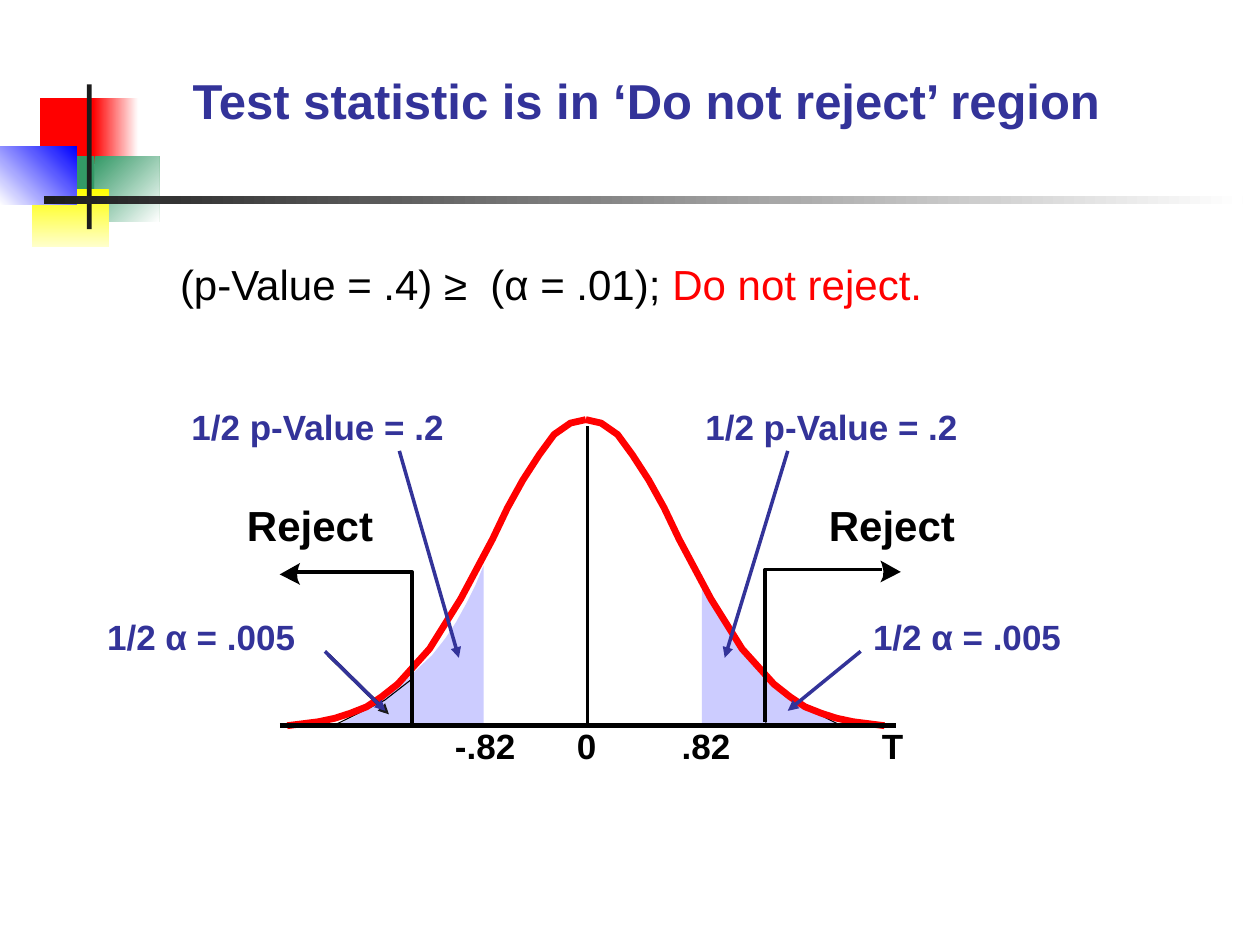
"""Draw a two-tailed test slide whose statistic falls in the 'Do not reject' region."""
from dataclasses import dataclass

from lxml import etree
from pptx import Presentation
from pptx.dml.color import RGBColor
from pptx.enum.shapes import MSO_CONNECTOR, MSO_SHAPE
from pptx.enum.text import MSO_ANCHOR, PP_ALIGN
from pptx.oxml.ns import qn
from pptx.util import Cm, Pt

RECT = MSO_SHAPE.RECTANGLE
LINE = MSO_CONNECTOR.STRAIGHT
MID, TOP = MSO_ANCHOR.MIDDLE, MSO_ANCHOR.TOP
LEFT, CENTER = PP_ALIGN.LEFT, PP_ALIGN.CENTER


@dataclass(frozen=True)
class Theme:
    font: str = "Arial"
    ink: str = "000000"
    navy: str = "333399"
    red: str = "FF0000"
    shade: str = "CCCCFF"
    dark: str = "1C1C1C"
    white: str = "FFFFFF"
    green: str = "339966"
    yellow: str = "FFFF00"
    cream: str = "FFFFCC"
    blue: str = "0000FF"
    title: int = 28
    body: int = 24
    label: int = 20
    thin: float = 0.63
    line: float = 2
    axis: float = 3
    curve: float = 3.88


T = Theme()

BLOCKS = [
    (0.81, 1.98, 1.22, 1.32, [T.red], 0),
    (1.88, 1.98, 0.91, 1.32, [T.red, T.white], 0),
    (1.91, 3.15, 1.3, 1.32, [T.green, T.white], 315),
    (1.09, 3.15, 0.81, 1.32, [T.green], 0),
    (0.64, 3.81, 1.55, 1.17, [T.yellow, T.cream], 270),
    (0, 2.95, 1.55, 1.17, [T.white, T.blue], 45),
    (1.75, 1.7, 0.1, 2.92, [T.dark], 0),
    (0.89, 3.96, 24.16, 0.15, [T.dark, T.white], 0),
]
HEADING = [("Test statistic is in ‘Do not reject’ region", T.navy)]
RESULT = [("(p-Value = .4) ≥  (α = .01); ", T.ink), ("Do not reject.", T.red)]
TICKS = [("0", 11.63, 0.38), (".82", 13.74, 0.99), ("-.82", 9.17, 1.22), ("T", 17.78, 0.43)]
REGIONS = [("Reject", 16.48), ("Reject", 4.75)]
NOTES = [
    ("1/2 p-Value = .2", 13.97, 8.05, 6.99),
    ("1/2 p-Value = .2", 3.61, 8.05, 7.19),
    ("1/2 α = .005", 17.35, 12.27, 5.72),
    ("1/2 α = .005", 1.91, 12.27, 5.72),
]
ARROWS = [
    ((8.05, 9.09), (9.25, 13.26), False),
    ((15.88, 9.09), (14.61, 13.26), False),
    ((6.55, 13.13), (7.77, 14.33), True),
    ((17.35, 13.13), (15.88, 14.33), False),
]
BASE, CENTRE = 14.63, 11.81
BELL = [
    (6.02, 14.63), (5.39, 14.55), (5.06, 14.48), (4.75, 14.38), (4.42, 14.25),
    (4.12, 14.05), (3.79, 13.79), (3.15, 13.08), (2.52, 12.07), (1.88, 10.87),
    (1.58, 10.24), (1.27, 9.68), (0.94, 9.17), (0.64, 8.76), (0.31, 8.53), (0, 8.46),
]
SHADES = [
    [(9.75, 11.4), (9.75, BASE), (6.76, BASE), (7.14, 14.45), (7.47, 14.25),
     (7.8, 14.02), (8.13, 13.77), (8.41, 13.49), (8.71, 13.21), (8.97, 12.88),
     (9.19, 12.55), (9.4, 12.17), (9.58, 11.81)],
    [(14.15, 11.58), (14.15, BASE), (16.99, BASE), (16.64, 14.45), (16.31, 14.27),
     (16, 14.05), (15.7, 13.82), (15.42, 13.56), (15.14, 13.26), (14.91, 12.95),
     (14.68, 12.65), (14.48, 12.29), (14.3, 11.94)],
]
TAILS = [
    [(15.44, 13.69), (15.44, 14.66), (17.02, 14.66), (16.05, 14.17)],
    [(8.33, 13.67), (8.33, 14.61), (6.76, 14.61), (7.75, 14.12)],
]
BRACKETS = [
    [(15.42, 14.55), (15.42, 11.48), (17.78, 11.48)],
    [(8.31, 14.58), (8.31, 11.53), (5.97, 11.53)],
]
HEADS = [(18.16, 11.53, 1), (5.64, 11.58, -1)]
BARB = [(-0.41, -0.23), (0, 0), (-0.41, 0.21), (-0.36, 0.1), (-0.35, -0.02), (-0.38, -0.15)]


def rgb(tone):
    return RGBColor.from_string(tone)


def paint(shape, tones, angle=0):
    fill = shape.fill
    if len(tones) > 1:
        fill.gradient()
        fill.gradient_angle = angle
        for stop, tone in zip(fill.gradient_stops, tones):
            stop.color.rgb = rgb(tone)
    elif tones:
        fill.solid()
        fill.fore_color.rgb = rgb(tones[0])
    else:
        fill.background()


def stroke(shape, tone, width):
    shape.line.color.rgb = rgb(tone)
    shape.line.width = Pt(width)


def block(slide, left, top, width, height, tones, angle):
    shape = slide.shapes.add_shape(RECT, Cm(left), Cm(top), Cm(width), Cm(height))
    shape.shadow.inherit = False
    paint(shape, tones, angle)
    shape.line.fill.background()


def outline(slide, points, fill=None, tone=None, width=0, close=True):
    spots = [(Cm(x), Cm(y)) for x, y in points]
    form = slide.shapes.build_freeform(*spots[0])
    form.add_line_segments(spots[1:], close=close)
    shape = form.convert_to_shape()
    shape.shadow.inherit = False
    paint(shape, [fill] if fill else [])
    if tone:
        stroke(shape, tone, width)
    else:
        shape.line.fill.background()


def link(slide, start, end, tone, width, head=False, shadow=False):
    wire = slide.shapes.add_connector(LINE, *(Cm(v) for v in start + end))
    stroke(wire, tone, width)
    props = wire._element.spPr
    if head:
        etree.SubElement(props.get_or_add_ln(), qn("a:tailEnd"), type="triangle")
    effects = etree.SubElement(props, qn("a:effectLst"))
    if shadow:
        cast = etree.SubElement(effects, qn("a:outerShdw"), dist=str(Pt(2.8)), dir="2700000")
        etree.SubElement(cast, qn("a:srgbClr"), val=T.dark)


def write(slide, runs, place, size, bold=True, align=LEFT, anchor=TOP, tight=False):
    frame = slide.shapes.add_textbox(*(Cm(v) for v in place)).text_frame
    frame.word_wrap = not tight
    frame.vertical_anchor = anchor
    frame.margin_left = frame.margin_right = Cm(0 if tight else 0.25)
    frame.margin_top = frame.margin_bottom = Cm(0 if tight else 0.13)
    line = frame.paragraphs[0]
    line.alignment = align
    for text, tone in runs:
        run = line.add_run()
        run.text = text
        run.font.name, run.font.size, run.font.bold = T.font, Pt(size), bold
        run.font.color.rgb = rgb(tone)


def main():
    deck = Presentation()
    deck.slide_width, deck.slide_height = Cm(25.4), Cm(19.05)
    slide = deck.slides.add_slide(deck.slide_layouts[6])
    for item in BLOCKS:
        block(slide, *item)
    write(slide, HEADING, (3.2, 0.64, 19.66, 2.74), T.title, align=CENTER, anchor=MID)
    write(slide, RESULT, (3.38, 5.08, 20.32, 1.27), T.body, bold=False)
    link(slide, (11.84, 8.59), (11.84, 14.68), T.ink, T.line)
    for points in SHADES:
        outline(slide, points, fill=T.shade)
    for points in TAILS:
        outline(slide, points, tone=T.ink, width=T.thin)
    for side in (1, -1):
        half = [(CENTRE + side * x, y) for x, y in BELL]
        outline(slide, half, tone=T.red, width=T.curve, close=False)
    link(slide, (5.64, BASE), (18.06, BASE), T.ink, T.axis)
    for points in BRACKETS:
        outline(slide, points, tone=T.ink, width=T.line, close=False)
    for x, y, side in HEADS:
        outline(slide, [(x + side * dx, y + dy) for dx, dy in BARB], fill=T.ink)
    for text, left, width in TICKS:
        write(slide, [(text, T.ink)], (left, 14.61, width, 0.85), T.label, align=CENTER, tight=True)
    for text, left in REGIONS:
        write(slide, [(text, T.ink)], (left, 10.06, 3, 1.02), T.body, align=CENTER, tight=True)
    for text, left, top, width in NOTES:
        write(slide, [(text, T.navy)], (left, top, width, 1.09), T.label)
    for start, end, shadow in ARROWS:
        link(slide, start, end, T.navy, T.line, head=True, shadow=shadow)
    deck.save("out.pptx")


if __name__ == "__main__":
    main()
